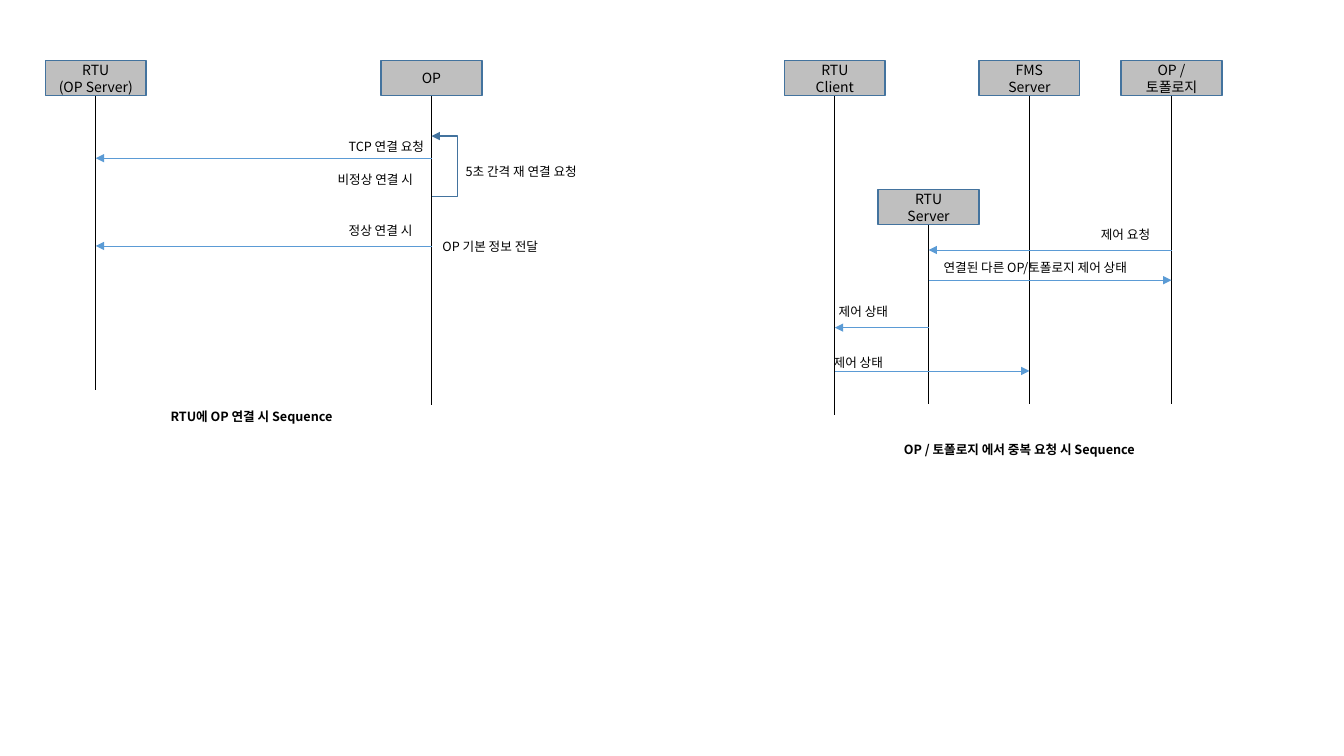
from dataclasses import dataclass

from lxml import etree
from pptx import Presentation
from pptx.dml.color import RGBColor
from pptx.enum.shapes import MSO_CONNECTOR, MSO_SHAPE
from pptx.enum.text import MSO_ANCHOR, PP_ALIGN
from pptx.oxml.ns import qn
from pptx.util import Inches, Pt

RECTANGLE = MSO_SHAPE.RECTANGLE
STRAIGHT = MSO_CONNECTOR.STRAIGHT
MIDDLE = MSO_ANCHOR.MIDDLE
LEFT, CENTER = PP_ALIGN.LEFT, PP_ALIGN.CENTER


@dataclass(frozen=True)
class Theme:
    font: str = "Noto Sans CJK KR"
    text: RGBColor = RGBColor(0x00, 0x00, 0x00)
    box_fill: RGBColor = RGBColor(0xBF, 0xBF, 0xBF)
    border: RGBColor = RGBColor(0x43, 0x73, 0x9E)
    message: RGBColor = RGBColor(0x5B, 0x9B, 0xD5)
    box_size: Pt = Pt(10)
    label_size: Pt = Pt(9)
    thin: Pt = Pt(0.5)
    thick: Pt = Pt(1)


THEME = Theme()
BOX_WIDTH, BOX_HEIGHT = 1, 0.35
LABEL_HEIGHT = 0.25


def write(frame, lines, size, align, bold=False):
    """Fill a text frame with one paragraph per line."""
    frame.word_wrap = True
    for index, line in enumerate(lines):
        para = frame.add_paragraph() if index else frame.paragraphs[0]
        para.alignment = align
        span = para.add_run()
        span.text = line
        look = {"name": THEME.font, "size": size, "bold": bold}
        for name, value in look.items():
            setattr(span.font, name, value)
        span.font.color.rgb = THEME.text
        east_asian = etree.SubElement(span._r.get_or_add_rPr(), qn("a:ea"))
        east_asian.set("typeface", THEME.font)


def style_line(shape, color, width, arrow=False):
    """Colour an outline, drop its shadow and optionally end it in an arrow."""
    shape.line.color.rgb = color
    shape.line.width = width
    if arrow:
        etree.SubElement(shape.get_or_add_ln(), qn("a:tailEnd")).set("type", "triangle")
    properties = shape._element.spPr
    if properties.find(qn("a:effectLst")) is None:
        etree.SubElement(properties, qn("a:effectLst"))


deck = Presentation()
deck.slide_width, deck.slide_height = Inches(13.33), Inches(7.5)
page = deck.slides.add_slide(deck.slide_layouts[6])
shapes = page.shapes

# Participants: lines of the name, centre x, box top, lifeline end
participants = [
    (["RTU", "(OP Server)"], 0.95, 0.6, 3.87),
    (["OP"], 4.28, 0.6, 4.02),
    (["RTU", "Client"], 8.28, 0.6, 4.12),
    (["FMS", "Server"], 10.21, 0.6, 4.01),
    (["OP /", "토폴로지"], 11.62, 0.6, 4.01),
    (["RTU", "Server"], 9.21, 1.88, 4.01),
]
for name, x, top, end in participants:
    box = shapes.add_shape(RECTANGLE, Inches(x - BOX_WIDTH / 2), Inches(top),
                           Inches(BOX_WIDTH), Inches(BOX_HEIGHT))
    box.shadow.inherit = False
    box.fill.solid()
    box.fill.fore_color.rgb = THEME.box_fill
    style_line(box, THEME.border, THEME.thick)
    box.text_frame.vertical_anchor = MIDDLE
    write(box.text_frame, name, THEME.box_size, CENTER)
    lifeline = shapes.add_connector(STRAIGHT, Inches(x), Inches(top + BOX_HEIGHT),
                                    Inches(x), Inches(end))
    style_line(lifeline, THEME.text, THEME.thin)

# Messages: sender x, receiver x, y
messages = [
    (4.28, 0.95, 1.57),
    (4.28, 0.95, 2.44),
    (11.62, 9.21, 2.48),
    (9.21, 11.62, 2.78),
    (9.21, 8.28, 3.25),
    (8.28, 10.21, 3.68),
]
for sender, receiver, y in messages:
    message = shapes.add_connector(STRAIGHT, Inches(sender), Inches(y),
                                   Inches(receiver), Inches(y))
    style_line(message, THEME.message, THEME.thin, arrow=True)

# Retry loop back to the OP lifeline
retry_path = shapes.build_freeform(Inches(4.29), Inches(1.95))
retry_path.add_line_segments(
    [(Inches(x), Inches(y)) for x, y in [(4.54, 1.95), (4.54, 1.35), (4.28, 1.35)]],
    close=False)
retry_loop = retry_path.convert_to_shape()
retry_loop.shadow.inherit = False
retry_loop.fill.background()
style_line(retry_loop, THEME.border, THEME.thick, arrow=True)

# Labels: text, left, top, width, alignment, bold
labels = [
    ("TCP 연결 요청", 3.36, 1.33, 1.09, LEFT, False),
    ("비정상 연결 시", 3.25, 1.66, 1.31, LEFT, False),
    ("5초 간격 재 연결 요청", 4.52, 1.58, 1.56, LEFT, False),
    ("정상 연결 시", 3.36, 2.16, 1.31, LEFT, False),
    ("OP 기본 정보 전달", 4.29, 2.32, 1.41, LEFT, False),
    ("제어 요청", 10.82, 2.2, 0.82, LEFT, False),
    ("연결된 다른 OP/토폴로지 제어 상태", 9.26, 2.53, 2.25, LEFT, False),
    ("제어 상태", 8.22, 2.97, 1.09, LEFT, False),
    ("제어 상태", 8.17, 3.47, 1.09, LEFT, False),
    ("RTU에 OP 연결 시 Sequence", 1.16, 4.01, 2.67, CENTER, True),
    ("OP / 토폴로지 에서 중복 요청 시 Sequence", 8.43, 4.33, 3.36, CENTER, True),
]
for text, left, top, width, align, bold in labels:
    label = shapes.add_textbox(Inches(left), Inches(top), Inches(width), Inches(LABEL_HEIGHT))
    write(label.text_frame, [text], THEME.label_size, align, bold)

deck.save("out.pptx")
